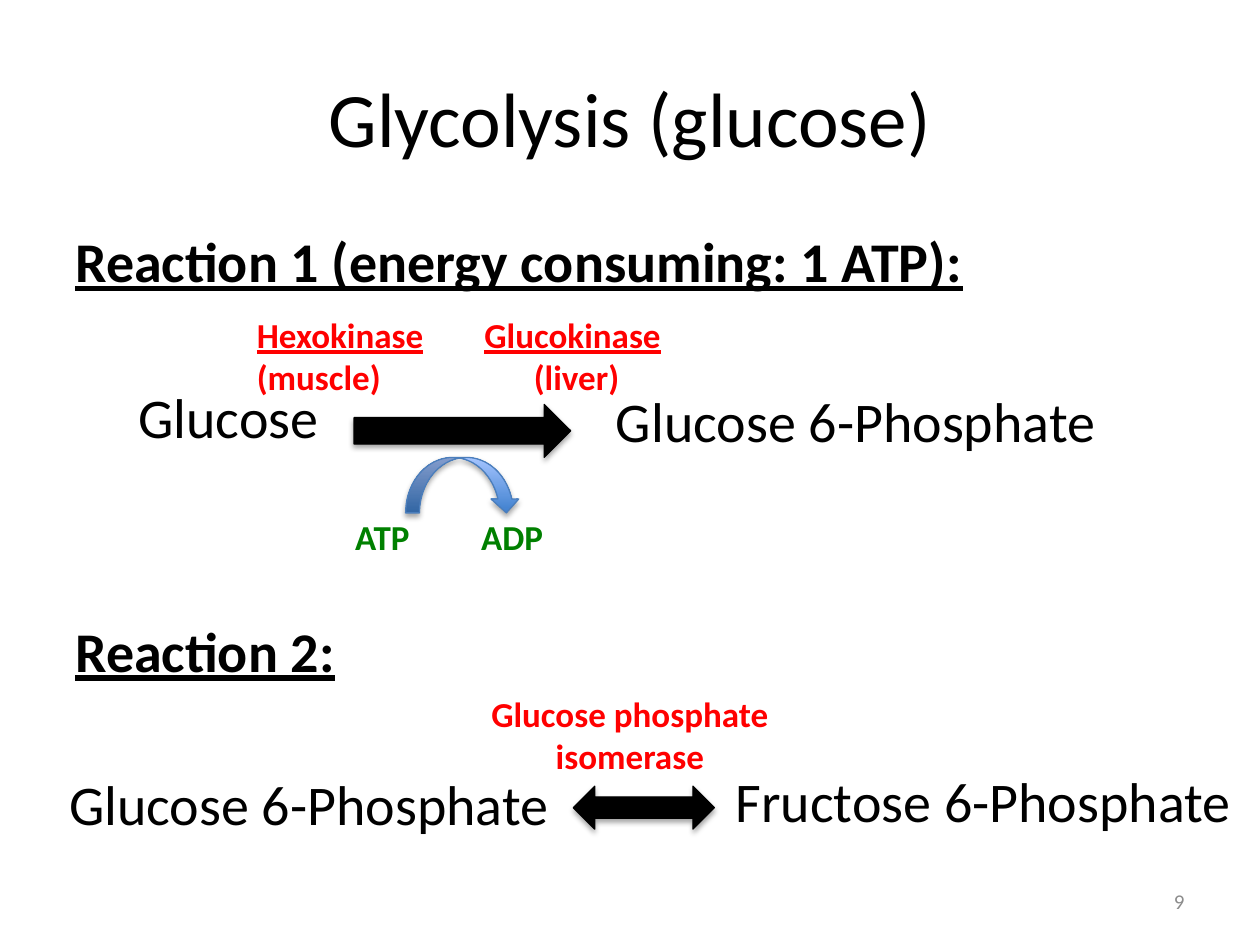
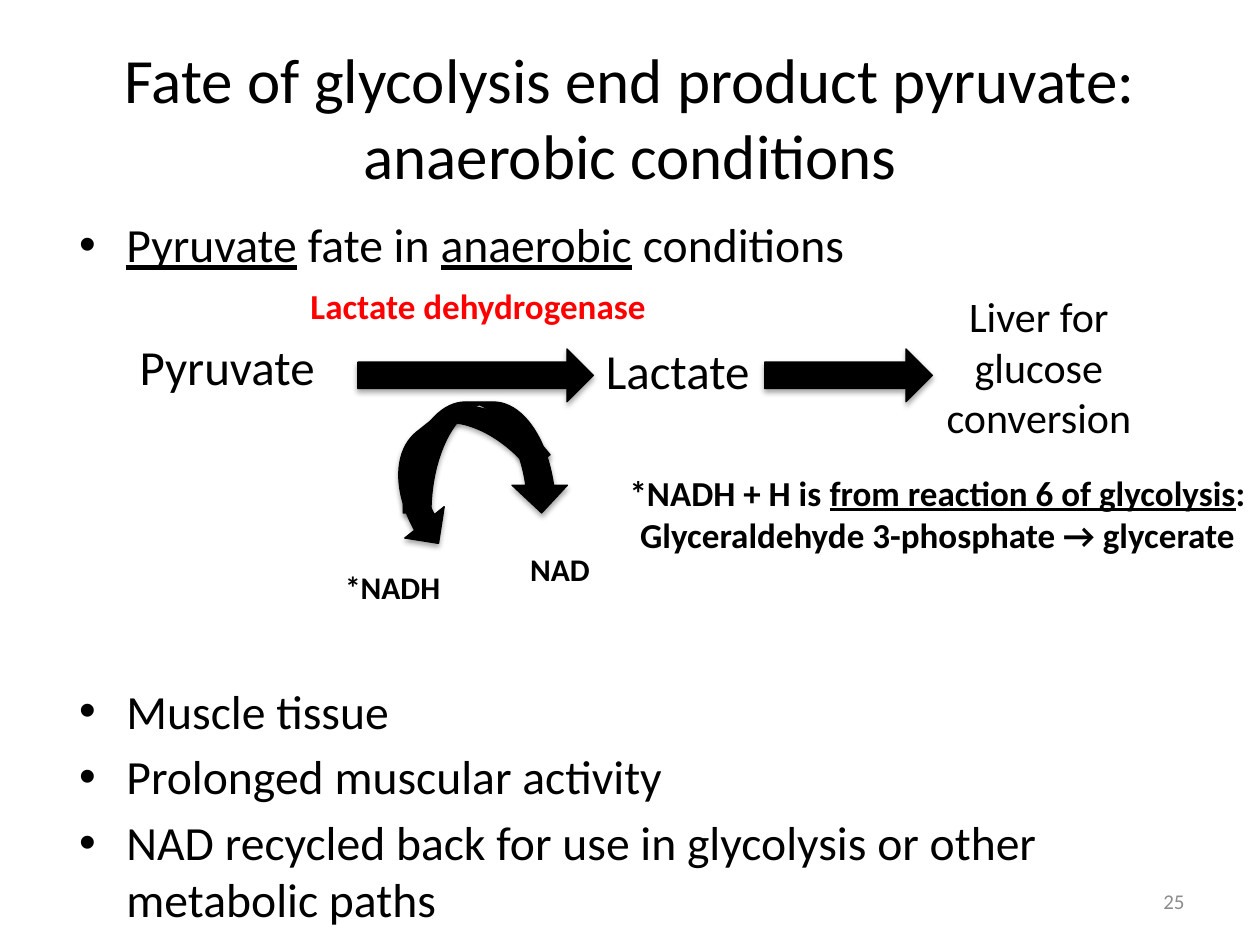
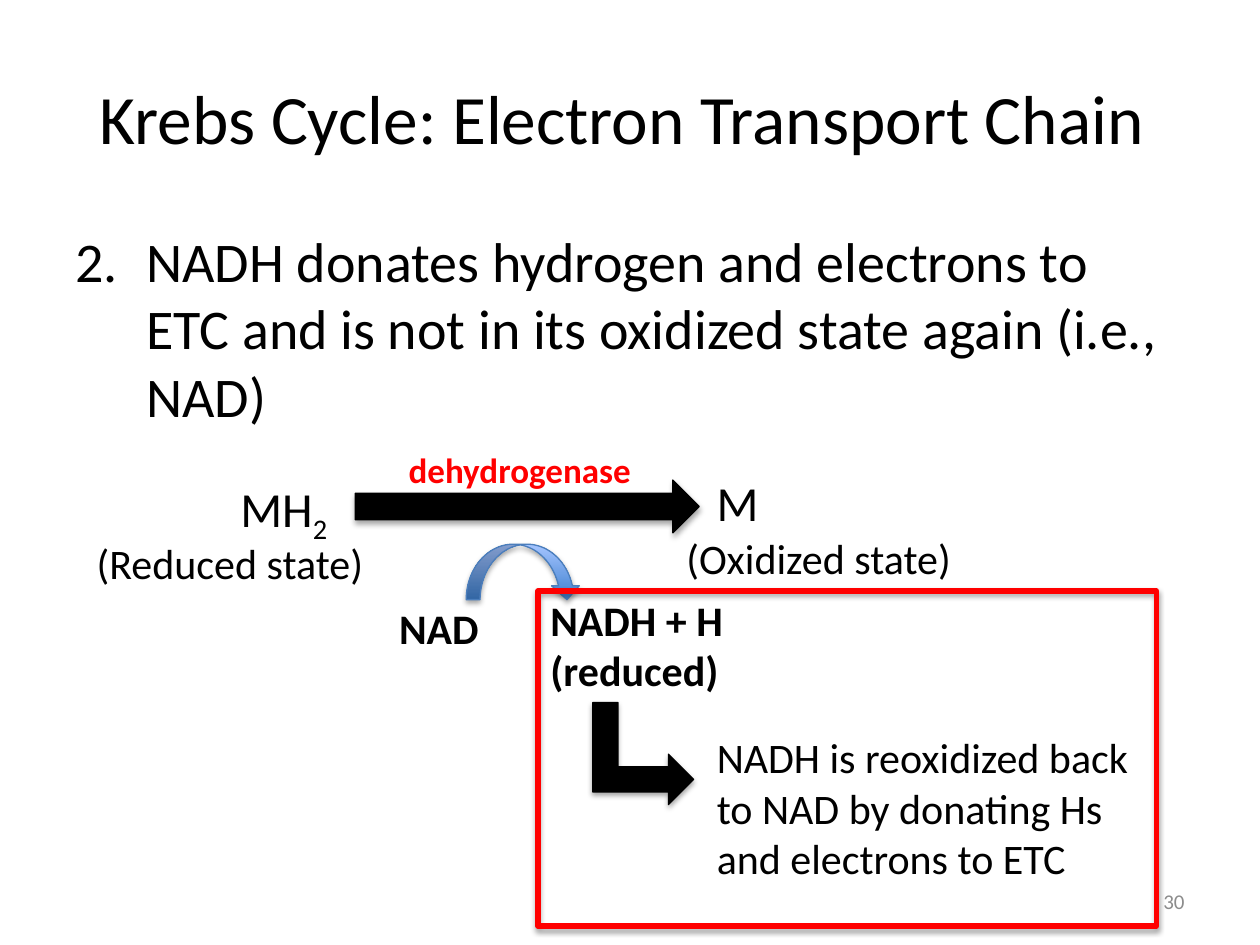
import pptx
import pptx.dml.color
import pptx.enum.shapes
import pptx.enum.text
import pptx.oxml
import pptx.oxml.ns
import pptx.util

Pt = pptx.util.Pt
RGBColor = pptx.dml.color.RGBColor
ALIGN = pptx.enum.text.PP_ALIGN
ANCHOR = pptx.enum.text.MSO_ANCHOR
SHAPE = pptx.enum.shapes.MSO_SHAPE

FONT = "Calibri"
BLACK = RGBColor(0x00, 0x00, 0x00)
RED = RGBColor(0xFF, 0x00, 0x00)
GREEN = RGBColor(0x00, 0x80, 0x00)
GRAY = RGBColor(0x8C, 0x8C, 0x8C)
BLUE_DARK = RGBColor(0x3F, 0x80, 0xCE)
BLUE_LIGHT = RGBColor(0xA4, 0xC4, 0xFF)
BLUE_LINE = RGBColor(0x4B, 0x7E, 0xBC)

TITLE_BOX = (36, 21.6, 648, 90)
BODY_BOX = (36, 126, 648, 356.4)
NUMBER_BOX = (516, 500.5, 168, 28.75)

NAMESPACE = pptx.oxml.ns.nsdecls("a")
DOT = (f'<a:buFont {NAMESPACE} typeface="Arial"/>', f'<a:buChar {NAMESPACE} char="•"/>')
NUMBER_TWO = (f'<a:buAutoNum {NAMESPACE} type="arabicPeriod" startAt="2"/>',)
SHADOW = (
    f'<a:effectLst {NAMESPACE}><a:outerShdw blurRad="40000" dist="23000" dir="5400000" '
    'rotWithShape="0"><a:srgbClr val="000000"><a:alpha val="35000"/></a:srgbClr>'
    "</a:outerShdw></a:effectLst>"
)


def add_text(slide, text, box, size=24, color=BLACK, bold=False, align=ALIGN.LEFT,
             anchor=ANCHOR.TOP, wrap=True, gaps=(), bullet=(), indent=0, shape=None):
    """Write text in a new box or a given shape; _marks_ underline, gaps go before paragraphs."""
    left, top, width, height = map(Pt, box)
    if shape is None:
        shape = slide.shapes.add_textbox(left, top, width, height)
    else:
        shape.left, shape.top, shape.width, shape.height = left, top, width, height
    frame = shape.text_frame
    frame.word_wrap = wrap
    frame.vertical_anchor = anchor
    for index, line in enumerate(text.split("\n")):
        paragraph = frame.add_paragraph() if index else frame.paragraphs[0]
        paragraph.alignment = align
        if index < len(gaps):
            paragraph.space_before = Pt(gaps[index])
        if bullet:
            properties = paragraph._p.get_or_add_pPr()
            properties.set("marL", str(Pt(indent)))
            properties.set("indent", str(-Pt(indent)))
            for element in bullet:
                properties.append(pptx.oxml.parse_xml(element))
        for part, words in enumerate(line.split("_")):
            if words:
                run = paragraph.add_run()
                run.text = words
                run.font.name = FONT
                run.font.size = Pt(size)
                run.font.bold = bold
                run.font.underline = part % 2 == 1
                run.font.color.rgb = color
    return shape


def add_shadowed_shape(slide, kind, box, fill=BLACK, line=BLACK, weight=0.75, rotation=0):
    """Add a preset shape; fill is a colour, a pair of gradient colours or None."""
    shape = slide.shapes.add_shape(kind, *map(Pt, box))
    shape.rotation = rotation
    if fill is None:
        shape.fill.background()
    elif isinstance(fill, RGBColor):
        shape.fill.solid()
        shape.fill.fore_color.rgb = fill
    else:
        shape.fill.gradient()
        shape.fill.gradient_angle = 90
        for stop, color in zip(shape.fill.gradient_stops, fill):
            stop.color.rgb = color
    shape.line.color.rgb = line
    shape.line.width = Pt(weight)
    shape._element.spPr.append(pptx.oxml.parse_xml(SHADOW))


presentation = pptx.Presentation()
presentation.slide_width = Pt(720)
presentation.slide_height = Pt(540)

slides = []
for title, title_size, number in (
    ("Glycolysis (glucose)", 44, "9"),
    ("Fate of glycolysis end product pyruvate: anaerobic conditions", 36, "25"),
    ("Krebs Cycle: Electron Transport Chain ", 39.6, "30"),
):
    slide = presentation.slides.add_slide(presentation.slide_layouts[5])
    add_text(slide, title, TITLE_BOX, size=title_size, align=ALIGN.CENTER,
             anchor=ANCHOR.MIDDLE, shape=slide.shapes.title)
    add_text(slide, number, NUMBER_BOX, size=12, color=GRAY, align=ALIGN.RIGHT,
             anchor=ANCHOR.MIDDLE)
    slides.append(slide)
glycolysis, pyruvate_fate, electron_transport = slides

# Glycolysis: reactions 1 and 2
reactions = add_text(glycolysis, "_Reaction 1 (energy consuming: 1 ATP):_\nGlucose\n_Reaction 2:_",
                     BODY_BOX, size=32, bold=True, gaps=(0, 50.5, 95.4))
glucose = reactions.text_frame.paragraphs[1]
glucose._p.get_or_add_pPr().set("marL", str(Pt(36)))
glucose.runs[0].font.bold = False

for compound, left, top in (
    ("Glucose 6-Phosphate", 344.9, 217.4),
    ("Glucose 6-Phosphate", 32.4, 436.3),
    ("Fructose 6-Phosphate", 413.3, 434.2),
):
    add_text(glycolysis, compound, (left, top, 339, 46), size=32)
for enzyme, box, align in (
    ("_Hexokinase_\n(muscle)", (139.7, 175.7, 185, 55.4), ALIGN.LEFT),
    ("_Glucokinase_ \n(liver)", (221.8, 175.7, 215.3, 55.4), ALIGN.CENTER),
    ("Glucose phosphate isomerase", (264.2, 392.4, 191.5, 55.4), ALIGN.CENTER),
):
    add_text(glycolysis, enzyme, box, size=20, color=RED, bold=True, align=align)
for carrier, left in (("ATP", 195.8), ("ADP", 267.8)):
    add_text(glycolysis, carrier, (left, 290.9, 62, 31.7), size=20, color=GREEN, bold=True)
add_shadowed_shape(glycolysis, SHAPE.RIGHT_ARROW, (202.3, 231.1, 123.8, 30.2))
add_shadowed_shape(glycolysis, SHAPE.LEFT_RIGHT_ARROW, (327.6, 449.3, 80.6, 24.5))

# Fate of pyruvate
add_text(pyruvate_fate,
         "_Pyruvate_ fate in _anaerobic_ conditions\nMuscle tissue\nProlonged muscular activity\n"
         "NAD recycled back for use in glycolysis or other metabolic paths",
         (38.2, 119.5, 648, 388.8), size=27.2, gaps=(0, 233.7, 5, 5), bullet=DOT, indent=27)
for compound, left, top in (("Pyruvate", 72.7, 188.6), ("Lactate", 339.1, 190.8)):
    add_text(pyruvate_fate, compound, (left, top, 117.4, 41), size=28)
for carrier, box in (("NAD", (295.9, 311, 67.7, 28.8)), ("*NADH", (190.1, 321.1, 97.9, 28.8))):
    add_text(pyruvate_fate, carrier, box, size=18, bold=True)
add_text(pyruvate_fate, "Lactate dehydrogenase", (149, 159.1, 248.4, 31.7), size=20,
         color=RED, bold=True, align=ALIGN.CENTER)
add_text(pyruvate_fate,
         "*NADH + H is _from reaction 6 of glycolysis_:\nGlyceraldehyde 3-phosphate → glycerate",
         (349.2, 265.7, 373, 55.4), size=20, bold=True, align=ALIGN.CENTER)
add_text(pyruvate_fate, "Liver for glucose conversion", (511.2, 162.7, 164.9, 94.3),
         align=ALIGN.CENTER)
for kind, box, rotation in (
    (SHAPE.RIGHT_ARROW, (204.5, 199.4, 134.6, 30.2), 0),
    (SHAPE.CURVED_DOWN_ARROW, (230.4, 229.7, 95, 63.4), 0),
    (SHAPE.CURVED_UP_ARROW, (211, 238.3, 95.8, 57.6), 141.5),
    (SHAPE.RIGHT_ARROW, (437, 199.4, 95.8, 30.2), 0),
):
    add_shadowed_shape(pyruvate_fate, kind, box, rotation=rotation)

# Electron transport chain
add_text(electron_transport,
         "NADH donates hydrogen and electrons to ETC and is not in its oxidized state again "
         "(i.e., NAD)",
         BODY_BOX, size=32, bullet=NUMBER_TWO, indent=40.5)
reduced = add_text(electron_transport, "MH", (130.3, 270, 66.2, 41), size=28, wrap=False)
subscript = reduced.text_frame.paragraphs[0].add_run()
subscript.text = "2"
subscript.font.name = FONT
subscript.font.size = Pt(28)
subscript.font.color.rgb = BLACK
subscript.font._element.set("baseline", "-25000")
add_text(electron_transport, "M", (402.5, 266.4, 38.9, 41), size=28, wrap=False)
add_text(electron_transport, "dehydrogenase", (172.8, 252.7, 248.4, 31.7), size=20,
         color=RED, bold=True, align=ALIGN.CENTER)
for state, left, top in (("(Reduced state)", 48.2, 303.8), ("(Oxidized state)", 385.2, 301)):
    add_text(electron_transport, state, (left, top, 169.9, 36), wrap=False)
for carrier, box in (
    ("NAD", (221, 340.6, 67.7, 36)),
    ("NADH + H (reduced)", (307.4, 336.2, 173.5, 65.5)),
):
    add_text(electron_transport, carrier, box, bold=True)
add_text(electron_transport, "NADH is reoxidized back to NAD by donating Hs and electrons to ETC",
         (402.5, 414.7, 258.5, 94.3))
add_shadowed_shape(electron_transport, SHAPE.RIGHT_ARROW, (203, 274.3, 196.6, 30.2))
add_shadowed_shape(electron_transport, SHAPE.BENT_UP_ARROW, (338.4, 401.8, 58.3, 57.6),
                   rotation=90)

# Blue arrows for the coupled carrier reactions
for slide, left, top in ((glycolysis, 231.8, 261.4), (electron_transport, 266.4, 311)):
    add_shadowed_shape(slide, SHAPE.CURVED_DOWN_ARROW, (left, top, 65.5, 31.7),
                       fill=(BLUE_DARK, BLUE_LIGHT), line=BLUE_LINE)

add_shadowed_shape(electron_transport, SHAPE.RECTANGLE, (307.4, 337.7, 353.5, 191.5),
                   fill=None, line=RED, weight=3)

presentation.save("out.pptx")
